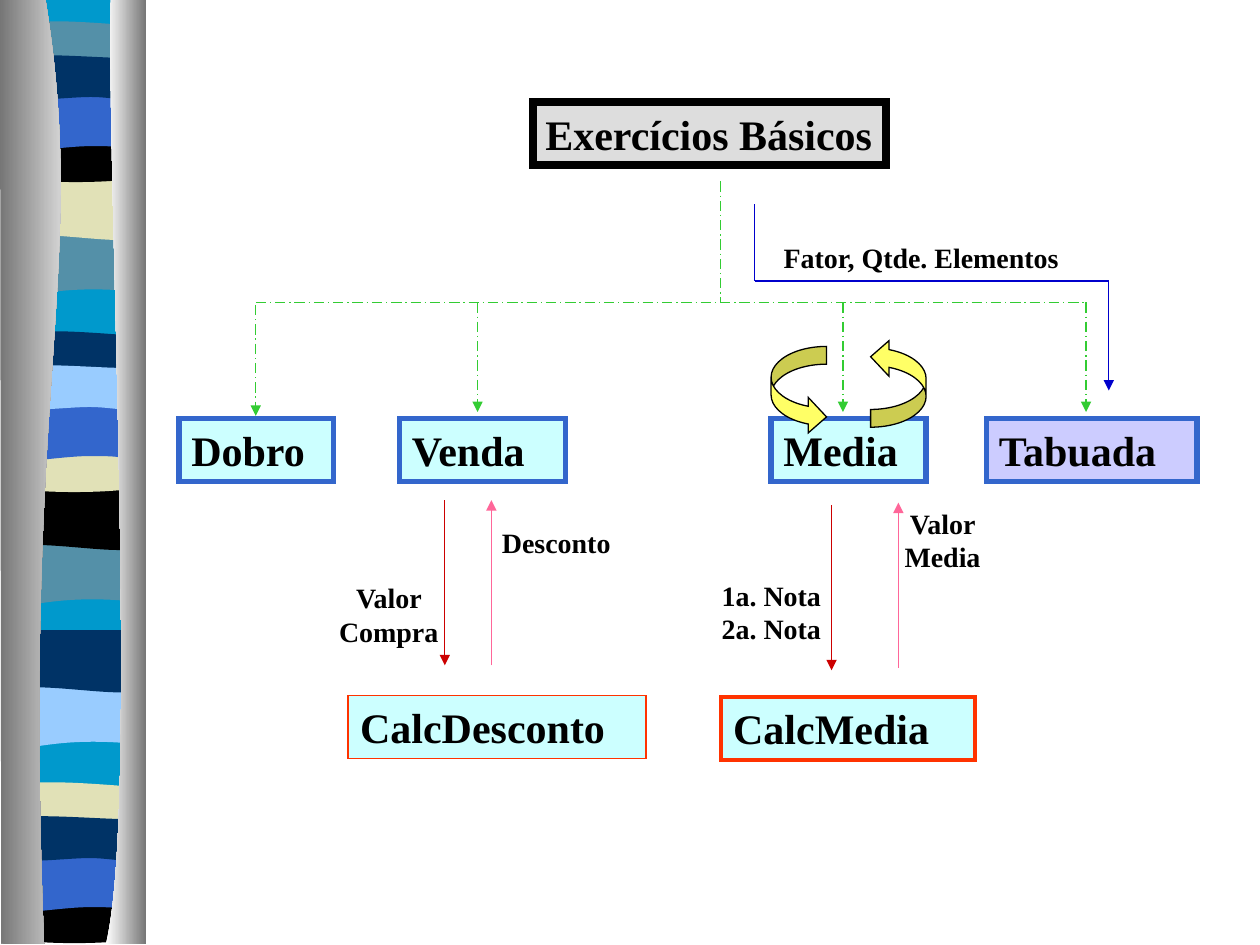
from lxml import etree
from pptx import Presentation
from pptx.dml import color
from pptx.enum import dml, shapes, text
from pptx.oxml import ns
from pptx.util import Inches, Pt

FONT = "Times New Roman"
BAND_OUTLINES = [
    (1.69, [(1.08, 0), (1.08, 0.47), (0.33, 0.39, 0.18, 0.55, 0, 0.47), (0, 0)]),
    (1.25, [(1.08, 0), (1.08, 0.47), (0.9, 0.55, 0.33, 0.41, 0, 0.47), (0, 0)]),
    (0, [(1.08, 0.05), (1.08, 0.29), (0.9, 0.33, 0.18, 0.33, 0, 0.29), (0, 0.05),
         (0.06, 0, 0.23, 0.01, 0.41, 0.01), (0.59, 0.01, 0.94, 0.04, 1.08, 0.05)]),
    (0.92, [(1.08, 0), (1.08, 0.32), (0.9, 0.38, 0.18, 0.38, 0, 0.32), (0, 0),
            (0.66, 0.05, 0.85, 0, 1.08, 0)]),
    (0.58, [(1.08, 0), (1.08, 0.47), (0.91, 0.42, 0.84, 0.42, 0.66, 0.42),
            (0.48, 0.42, 0.16, 0.47, 0, 0.47), (0, 0)]),
    (0.25, [(1.08, 0.05), (1.08, 0.36), (1.01, 0.41, 0.84, 0.36, 0.66, 0.36),
            (0.48, 0.36, 0.11, 0.41, 0, 0.36), (0, 0.05),
            (0.15, 0, 0.73, 0.05, 0.91, 0.05), (1.09, 0.05, 1.04, 0.05, 1.08, 0.05)]),
]
BAND_GROUPS = [
    (0.06, 0.16, ["5490A8", "E1E1B7", "5490A8", "000000", "3366CC", "003366"]),
    (0.05, 2.62, ["5490A8", "000000", "003366", "E1E1B7", "3366CC", "99CCFF"]),
    (0.06, 3.75, ["99CCFF", "003366", None, None, None, None]),
    (0.05, 6.2, [None, None, "E1E1B7", "000000", "3366CC", "003366"]),
]


def rgb(value):
    """Return the colour for a hex string."""
    return color.RGBColor.from_string(value)


def paint(shape, fill, line=None, width=0.75):
    """Give a shape its fill and sharp-cornered outline, without a shadow."""
    shape.shadow.inherit = False
    if fill:
        shape.fill.solid()
        shape.fill.fore_color.rgb = rgb(fill)
    if line:
        shape.line.color.rgb = rgb(line)
        shape.line.width = Pt(width)
        etree.SubElement(shape.line._get_or_add_ln(), ns.qn("a:miter"), lim="800000")
    else:
        shape.line.fill.background()


def add_outline(slide, left, top, outline, fill=None):
    """Draw a closed outline whose six-number parts are cubic curves."""
    points = [(Inches(left + x), Inches(top + y)) for part in outline
              for x, y in zip(part[::2], part[1::2])]
    builder = slide.shapes.build_freeform(*points[0])
    builder.add_line_segments(points[1:], close=True)
    shape = builder.convert_to_shape()
    segments = iter(list(shape._element.iter(ns.qn("a:lnTo"))))
    for part in outline[1:]:
        segment = next(segments)
        if len(part) == 6:
            segment.addprevious(etree.Element(ns.qn("a:cubicBezTo")))
            curve = segment.getprevious()
            for control in (segment, next(segments), next(segments)):
                curve.append(control[0])
                control.getparent().remove(control)
    paint(shape, fill)
    return shape


def add_ribbon(slide, left, top, outline, start, end):
    """Draw a side ribbon shaded from left to right."""
    ribbon = add_outline(slide, left, top, outline)
    ribbon.fill.gradient()
    ribbon.fill.gradient_angle = 0
    for stop, shade in zip(ribbon.fill.gradient_stops, (start, end)):
        stop.color.rgb = rgb(shade)


def add_border(slide, left, top, height):
    """Draw the striped strip framed by two grey ribbons."""
    bottom = height - 0.01
    add_outline(slide, left + 0.06, top,
                [(1.08, -0.01), (1.08, bottom - 0.02), (0, bottom - 0.02), (0, -0.01)], "0099CC")
    for band_left, group_top, fills in BAND_GROUPS:
        for (offset, outline), fill in zip(BAND_OUTLINES, fills):
            if fill:
                add_outline(slide, left + band_left, top + group_top + offset, outline, fill)
    add_ribbon(slide, left, top,
               [(0.36, -0.01), (0.71, 2.16, 0.17, 2.96, 0.35, bottom), (0.01, bottom),
                (0, -0.01)], "767676", "FFFFFF")
    add_ribbon(slide, left, top,
               [(0.88, -0.01), (0.84, 1.25, 1.11, 6.46, 0.84, bottom), (1.16, bottom),
                (1.16, 0)], "FFFFFF", "767676")


def write(shape, words, size, align=text.PP_ALIGN.LEFT, wrap=True):
    """Set bold black words at the top of a shape."""
    frame = shape.text_frame
    frame.text = words
    frame.word_wrap = wrap
    frame.auto_size = text.MSO_AUTO_SIZE.SHAPE_TO_FIT_TEXT
    frame.vertical_anchor = text.MSO_ANCHOR.TOP
    paragraph = frame.paragraphs[0]
    paragraph.alignment = align
    paragraph.font.name = FONT
    paragraph.font.size = Pt(size)
    paragraph.font.bold = True
    paragraph.font.color.rgb = rgb("000000")


def add_module(slide, words, left, top, width, fill="CCFFFF", line="3366CC",
               weight=3, size=24, height=0.5, wrap=True):
    """Draw a box that names a module."""
    module = slide.shapes.add_shape(shapes.MSO_SHAPE.RECTANGLE, Inches(left), Inches(top),
                                    Inches(width), Inches(height))
    paint(module, fill, line, weight)
    write(module, words, size, wrap=wrap)


def add_label(slide, words, left, top, width, height, align=text.PP_ALIGN.CENTER):
    """Write the data passed along an arrow."""
    label = slide.shapes.add_textbox(Inches(left), Inches(top), Inches(width), Inches(height))
    write(label, words, 16, align)


def add_line(slide, start, end, stroke, arrow=False, dashed=False):
    """Draw a thin line, with an arrowhead at its end if asked."""
    line = slide.shapes.add_connector(shapes.MSO_CONNECTOR.STRAIGHT,
                                      *(Inches(value) for value in (*start, *end)))
    line.line.color.rgb = rgb(stroke)
    line.line.width = Pt(0.75)
    if dashed:
        line.line.dash_style = dml.MSO_LINE.LONG_DASH_DOT
    if arrow:
        etree.SubElement(line.line._get_or_add_ln(), ns.qn("a:tailEnd"), type="triangle")
    etree.SubElement(line._element.spPr, ns.qn("a:effectLst"))


def add_tree(slide, root_x, top, rail_y, branches):
    """Draw the dashed lines from the root down to each module."""
    add_line(slide, (root_x, top), (root_x, rail_y), "33CC33", dashed=True)
    for x, start, end in branches:
        add_line(slide, (x, start), (x, end), "33CC33", arrow=True, dashed=True)
    add_line(slide, (branches[0][0], rail_y), (branches[-1][0], rail_y), "33CC33", dashed=True)


def add_call(slide, down_x, down_top, up_x, up_top, length=1.31):
    """Draw the arrows of a call and its return."""
    add_line(slide, (up_x, up_top + length), (up_x, up_top), "FF6699", arrow=True)
    add_line(slide, (down_x, down_top), (down_x, down_top + length), "CC0000", arrow=True)


def add_loop(slide, left, top, width):
    """Draw two curved arrows that circle a branch."""
    for x, y, turn in ((left, top + 0.06, 0), (left + width - 0.44, top, 180)):
        arrow = slide.shapes.add_shape(shapes.MSO_SHAPE.CURVED_RIGHT_ARROW, Inches(x),
                                       Inches(y), Inches(0.44), Inches(0.7))
        arrow.rotation = turn
        for index, value in enumerate((0.32, 0.64, 0.33)):
            arrow.adjustments[index] = value
        paint(arrow, "FFFF66", "000000")


def main():
    """Build the slide and save it."""
    deck = Presentation()
    deck.slide_width, deck.slide_height = Inches(10), Inches(7.5)
    slide = deck.slides.add_slide(deck.slide_layouts[6])
    add_border(slide, 0, 0, 7.5)
    add_module(slide, "Fator, Qtde. Elementos", 6.12, 1.86, 2.59, "FFFFFF", None,
               size=16, height=0.37)
    add_module(slide, "Exercícios Básicos", 4.23, 0.81, 2.8, "DDDDDD", "000000", 4.5, wrap=False)
    add_module(slide, "Dobro", 1.42, 3.32, 1.23)
    add_module(slide, "Venda", 3.17, 3.32, 1.32)
    add_module(slide, "Tabuada", 7.83, 3.32, 1.67, "CCCCFF")
    add_tree(slide, 5.72, 1.44, 2.4, [(2.03, 2.42, 3.3), (3.79, 2.4, 3.27),
                                      (6.69, 2.4, 3.27), (8.62, 2.4, 3.27)])
    add_module(slide, "CalcDesconto", 2.76, 5.52, 2.37, line="FF3300", weight=1)
    add_call(slide, 3.53, 3.97, 3.9, 3.97)
    corners = [(5.99, 1.62), (5.99, 2.23), (8.8, 2.23), (8.8, 3.1)]
    for start, end in zip(corners, corners[1:]):
        add_line(slide, start, end, "0000CC", arrow=end == corners[-1])
    add_module(slide, "Media", 6.12, 3.32, 1.23)
    add_module(slide, "CalcMedia", 5.72, 5.53, 2.02, line="FF3300", weight=2.25)
    add_call(slide, 6.6, 4.01, 7.13, 3.99)
    add_loop(slide, 6.12, 2.69, 1.23)
    add_label(slide, "1a. Nota 2a. Nota", 5.63, 4.54, 1.14, 0.64, text.PP_ALIGN.LEFT)
    add_label(slide, "Valor Media", 7.04, 3.97, 0.88, 0.64)
    add_label(slide, "Valor Compra", 2.56, 4.56, 1.05, 0.64)
    add_label(slide, "Desconto", 3.83, 4.12, 1.17, 0.37)
    deck.save("out.pptx")


if __name__ == "__main__":
    main()
